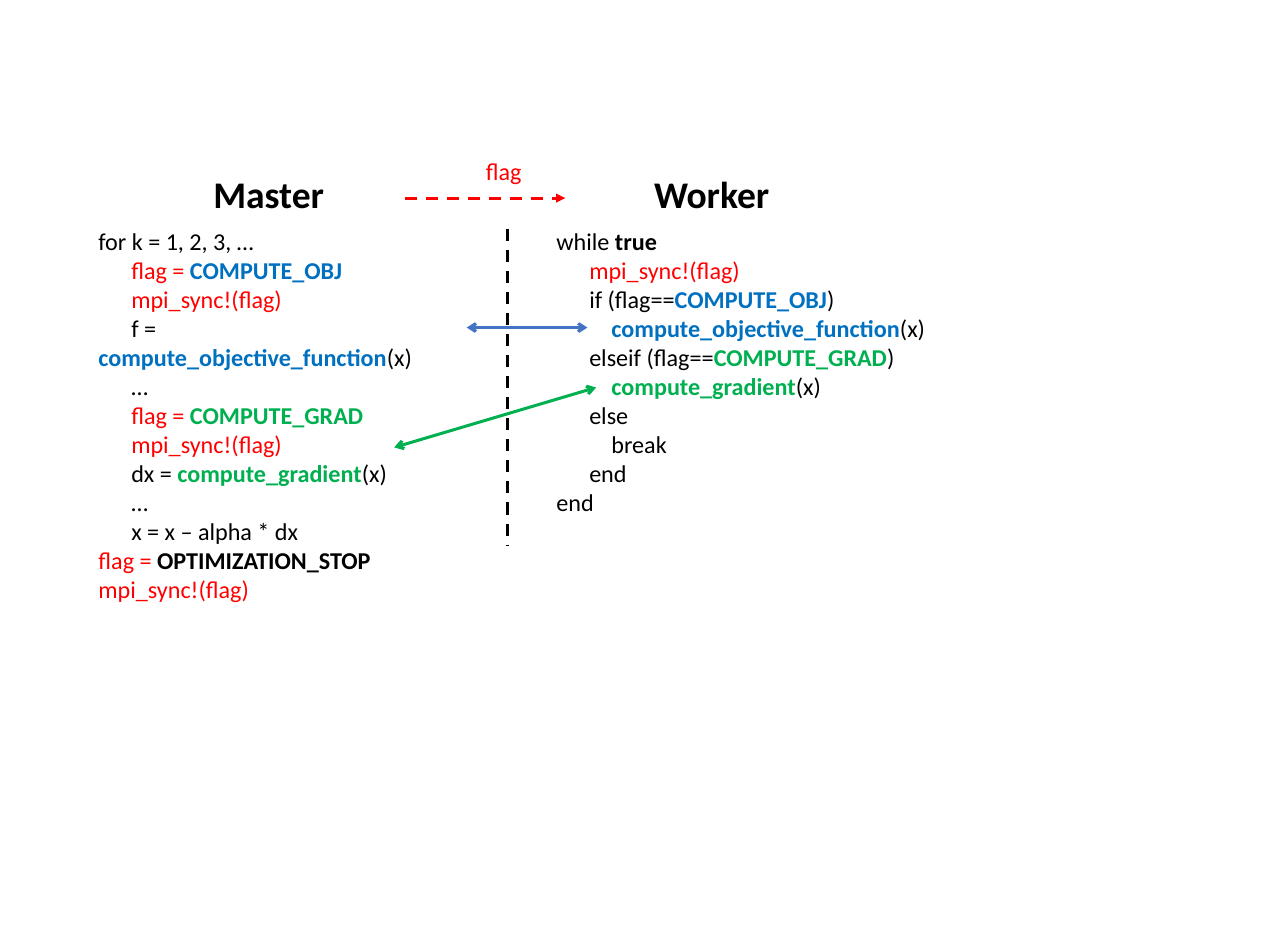
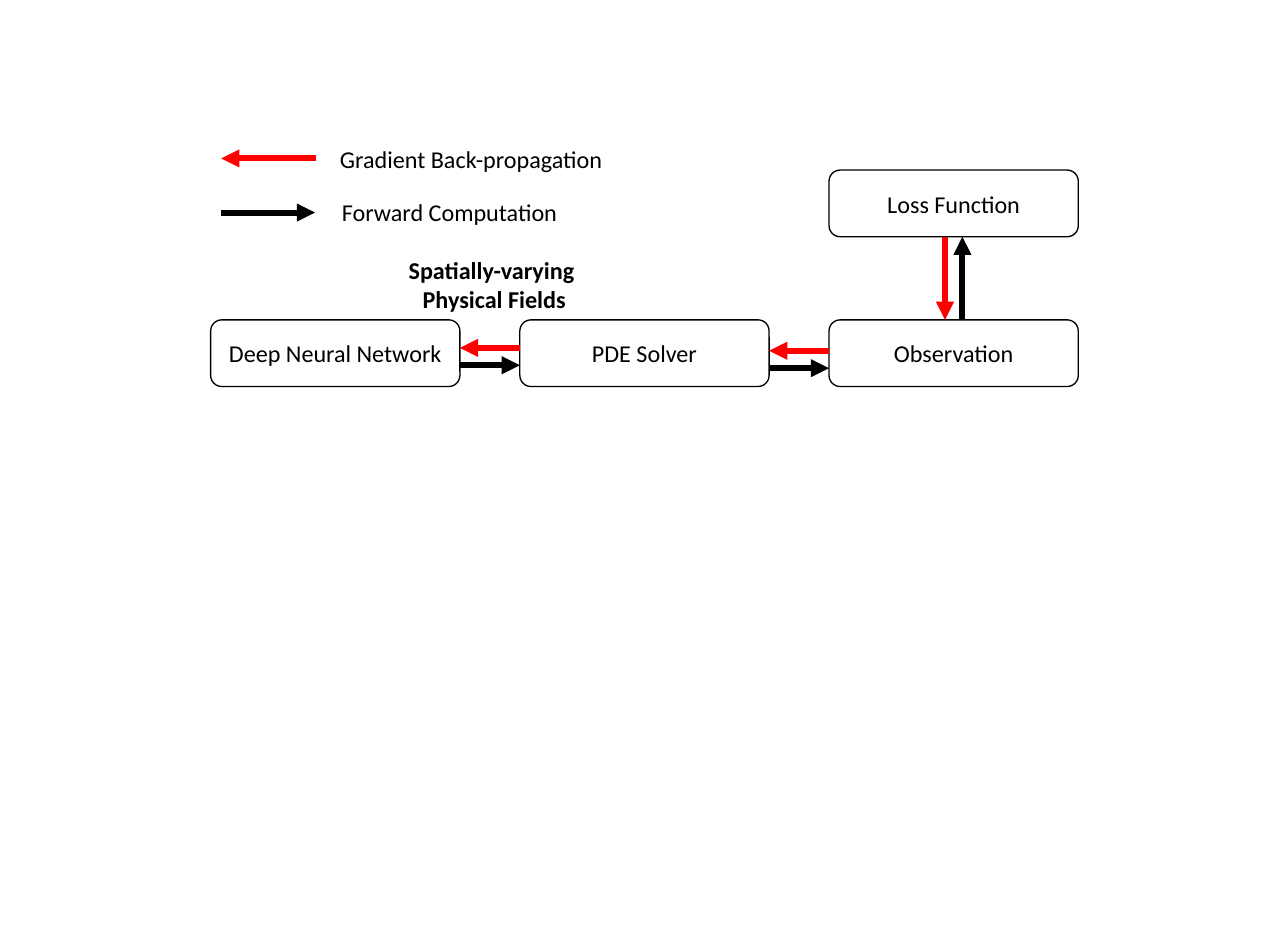
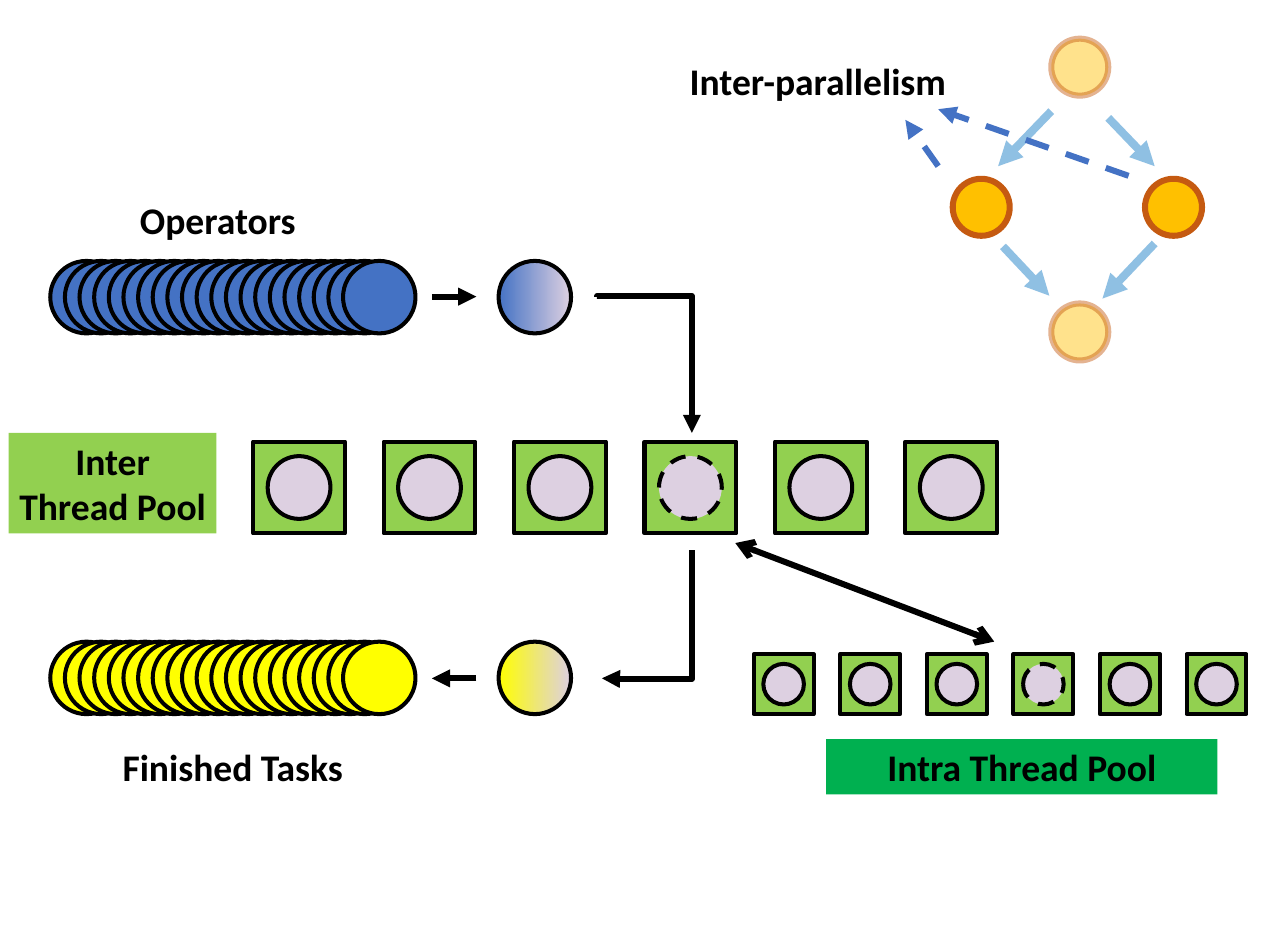
from lxml import etree
from pptx import Presentation
from pptx.dml.color import RGBColor
from pptx.enum import dml, shapes, text
from pptx.oxml.ns import qn
from pptx.util import Inches, Pt

FONT = "Calibri"
BLACK, WHITE, RED = "000000", "FFFFFF", "FF0000"
BLUE, YELLOW, LILAC = "4472C4", "FFFF00", "DDD0E1"
LIME, GREEN, SKY = "92D050", "00B050", "0070C0"
GOLD, RUST = "FFC000", "C55A11"

# Run styles: colour, bold
PLAIN, STRONG, SYNC = (BLACK, False), (BLACK, True), (RED, False)
OBJECTIVE, GRADIENT = (SKY, True), (GREEN, True)
LEVELS = (0, 0.34, 0.57)

SYNC_CALL = ("mpi_sync!(flag)", SYNC)
SET_FLAG = ("flag = ", SYNC)
OBJECTIVE_CALL = [("compute_objective_function", OBJECTIVE), ("(x)", PLAIN)]
GRADIENT_CALL = [("compute_gradient", GRADIENT), ("(x)", PLAIN)]

# Each code line: indent level, runs
MASTER_CODE = [
    (0, [("for k = 1, 2, 3, …", PLAIN)]),
    (1, [SET_FLAG, ("COMPUTE_OBJ", OBJECTIVE)]),
    (1, [SYNC_CALL]),
    (1, [("f = ", PLAIN)] + OBJECTIVE_CALL),
    (1, [("…", PLAIN)]),
    (1, [SET_FLAG, ("COMPUTE_GRAD", GRADIENT)]),
    (1, [SYNC_CALL]),
    (1, [("dx = ", PLAIN)] + GRADIENT_CALL),
    (1, [("…", PLAIN)]),
    (1, [("x = x – alpha * dx", PLAIN)]),
    (0, [SET_FLAG, ("OPTIMIZATION_STOP", STRONG)]),
    (0, [SYNC_CALL]),
]
WORKER_CODE = [
    (0, [("while ", PLAIN), ("true", STRONG)]),
    (1, [SYNC_CALL]),
    (1, [("if (flag==", PLAIN), ("COMPUTE_OBJ", OBJECTIVE), (")", PLAIN)]),
    (2, OBJECTIVE_CALL),
    (1, [("elseif (flag==", PLAIN), ("COMPUTE_GRAD", GRADIENT), (")", PLAIN)]),
    (2, GRADIENT_CALL),
    (1, [("else", PLAIN)]),
    (2, [("break", PLAIN)]),
    (1, [("end", PLAIN)]),
    (0, [("end", PLAIN)]),
]


def rgb(colour):
    return RGBColor.from_string(colour)


def inches(*lengths):
    return [Inches(length) for length in lengths]


def set_opacity(item, percent):
    """Make every solid colour of a shape or connector translucent."""
    for colour in item._element.spPr.iter(qn("a:srgbClr")):
        etree.SubElement(colour, qn("a:alpha")).set("val", str(percent * 1000))


def style_line(line, colour, width, dashed=False):
    line.color.rgb = rgb(colour)
    line.width = Pt(width)
    if dashed:
        line.dash_style = dml.MSO_LINE.DASH


def write(frame, lines, size, colour=BLACK, bold=False, centred=False):
    """Fill a text frame with one paragraph per line in a single style."""
    for i, line in enumerate(lines):
        paragraph = frame.paragraphs[0] if i == 0 else frame.add_paragraph()
        paragraph.text = line
        paragraph.alignment = text.PP_ALIGN.CENTER if centred else text.PP_ALIGN.LEFT
        font = paragraph.font
        font.name, font.size, font.bold = FONT, Pt(size), bold
        font.color.rgb = rgb(colour)


def add_label(slide, box, lines, size, wrap=False, **style):
    frame = slide.shapes.add_textbox(*inches(*box)).text_frame
    frame.word_wrap = wrap
    write(frame, lines, size, **style)


def add_code(slide, box, code, wrap):
    frame = slide.shapes.add_textbox(*inches(*box)).text_frame
    frame.word_wrap = wrap
    for i, (level, runs) in enumerate(code):
        paragraph = frame.paragraphs[0] if i == 0 else frame.add_paragraph()
        paragraph.font.name, paragraph.font.size = FONT, Pt(18)
        # First-line indent only: wrapped text returns to the margin
        paragraph._p.get_or_add_pPr().set("indent", str(Inches(LEVELS[level])))
        for words, (colour, bold) in runs:
            run = paragraph.add_run()
            run.text = words
            run.font.bold = bold
            run.font.color.rgb = rgb(colour)


def add_figure(slide, kind, box, fill, line=BLACK, width=3, dashed=False):
    """Add a preset shape; a pair of fill colours makes a gradient."""
    figure = slide.shapes.add_shape(kind, *inches(*box))
    figure.shadow.inherit = False
    if isinstance(fill, tuple):
        figure.fill.gradient()
        figure.fill.gradient_angle = 0
        for stop, colour in zip(figure.fill.gradient_stops, fill):
            stop.color.rgb = rgb(colour)
    else:
        figure.fill.solid()
        figure.fill.fore_color.rgb = rgb(fill)
    if line:
        style_line(figure.line, line, width, dashed)
    else:
        figure.line.fill.background()
    return figure


def add_circle(slide, left, top, size, fill, **style):
    return add_figure(slide, shapes.MSO_SHAPE.OVAL, (left, top, size, size), fill, **style)


def finish_connector(connector, colour, width, dashed, head, tail):
    style_line(connector.line, colour, width, dashed)
    etree.SubElement(connector._element.spPr, qn("a:effectLst"))
    line = connector.line._get_or_add_ln()
    for end, arrow in (("a:headEnd", head), ("a:tailEnd", tail)):
        if arrow:
            etree.SubElement(line, qn(end)).set("type", arrow)


def add_line(slide, start, end, colour=BLACK, width=4.5, dashed=False,
             head=None, tail="triangle"):
    connector = slide.shapes.add_connector(
        shapes.MSO_CONNECTOR.STRAIGHT, *inches(*start, *end))
    finish_connector(connector, colour, width, dashed, head, tail)
    return connector


def add_elbow(slide, start, end, degrees, flips, head=None, tail=None):
    """Join two points by a horizontal leg from start, then a vertical leg."""
    (x1, y1), (x2, y2) = start, end
    across, along = abs(x2 - x1) / 2, abs(y2 - y1) / 2
    x, y = (x1 + x2) / 2, (y1 + y2) / 2
    connector = slide.shapes.add_connector(
        shapes.MSO_CONNECTOR.ELBOW,
        *inches(x - along, y - across, x + along, y + across))
    properties = connector._element.spPr
    frame = properties.find(qn("a:xfrm"))
    frame.set("rot", str(degrees * 60000))
    for flip in flips:
        frame.set(flip, "1")
    bend = etree.SubElement(properties.find(qn("a:prstGeom")).find(qn("a:avLst")), qn("a:gd"))
    bend.set("name", "adj1")
    bend.set("fmla", "val -500")
    finish_connector(connector, BLACK, 4.5, False, head, tail)


def add_thread_pool(slide, first, last, top, size, circle, count=6, busy=3):
    """A row of square threads, of which the busy one has a dashed task."""
    margin = (size - circle) / 2
    for i in range(count):
        left = first + i * (last - first) / (count - 1)
        add_figure(slide, shapes.MSO_SHAPE.RECTANGLE, (left, top, size, size), LIME)
        add_circle(slide, left + margin, top + margin, circle, LILAC, dashed=i == busy)


def add_queue(slide, top, fill, count=21):
    first, last = 0.52, 3.55
    for i in range(count):
        add_circle(slide, first + i * (last - first) / (count - 1), top, 0.75, fill)


def add_pool_name(slide, box, lines, fill):
    name = add_figure(slide, shapes.MSO_SHAPE.RECTANGLE, box, fill, line=None)
    name.text_frame.word_wrap = False
    name.text_frame.vertical_anchor = text.MSO_ANCHOR.TOP
    write(name.text_frame, lines, 28, bold=True, centred=True)


def build_protocol(slide):
    add_code(slide, (0.92, 2.29, 3.99, 3.74), MASTER_CODE, wrap=True)
    add_code(slide, (5.66, 2.29, 4.05, 3.13), WORKER_CODE, wrap=False)
    add_label(slide, (2.11, 1.72, 1.36, 0.57), ["Master"], 28, bold=True)
    add_label(slide, (6.67, 1.72, 1.41, 0.57), ["Worker"], 28, bold=True)
    add_line(slide, (5.25, 2.37), (5.25, 5.64), width=2.25, dashed=True, tail=None)
    for start, end, colour in (((4.83, 3.39), (6.08, 3.39), BLUE),
                               ((4.08, 4.63), (6.17, 4.01), GREEN)):
        add_line(slide, start, end, colour, 2.25, head="arrow", tail="arrow")
    add_label(slide, (4.93, 1.57, 0.58, 0.4), ["flag"], 18, colour=RED)
    add_line(slide, (4.19, 2.05), (5.85, 2.05), RED, 2.25, dashed=True)


def build_pipeline(slide):
    width, height, row = 2.58, 0.69, 3.31
    columns = [2.18 + 3.2 * i for i in range(3)]
    stages = [("Deep Neural Network", columns[0], row), ("PDE Solver", columns[1], row),
              ("Observation", columns[2], row), ("Loss Function", columns[2], 1.76)]
    for name, left, top in stages:
        stage = add_figure(slide, shapes.MSO_SHAPE.ROUNDED_RECTANGLE,
                           (left, top, width, height), WHITE, width=1)
        stage.text_frame.word_wrap = True
        stage.text_frame.vertical_anchor = text.MSO_ANCHOR.MIDDLE
        write(stage.text_frame, [name], 18, centred=True)
    for left, right, back in ((columns[0] + width, columns[1], 3.6),
                              (columns[1] + width, columns[2], 3.63)):
        add_line(slide, (left, back + 0.18), (right, back + 0.18))
        add_line(slide, (right, back), (left, back), RED)
    add_line(slide, (9.96, row), (9.96, 2.45))
    add_line(slide, (9.78, 2.45), (9.78, row), RED)
    add_label(slide, (4.09, 2.59, 2.05, 0.71), ["Spatially-varying ", "Physical Fields"], 18,
              wrap=True, bold=True, centred=True)
    add_line(slide, (2.29, 2.2), (3.26, 2.2))
    add_line(slide, (3.27, 1.64), (2.29, 1.64), RED)
    add_label(slide, (3.42, 1.45, 2.96, 0.4), ["Gradient Back-propagation"], 18)
    add_label(slide, (3.44, 1.99, 2.45, 0.4), ["Forward Computation"], 18)


def build_task_graph(slide):
    for left, top, faded in ((10.88, 0.4, True), (11.85, 1.85, False),
                             (9.86, 1.85, False), (10.88, 3.14, True)):
        node = add_circle(slide, left, top, 0.59, GOLD, line=RUST, width=4.5)
        if faded:
            set_opacity(node, 45)
    for start, end in (((11.47, 1.22), (11.95, 1.72)), ((10.38, 2.55), (10.86, 3.06)),
                       ((10.88, 1.15), (10.33, 1.72)), ((11.95, 2.52), (11.41, 3.09))):
        set_opacity(add_line(slide, start, end, SKY, 6), 43)
    add_label(slide, (7.04, 0.55, 2.9, 0.57), ["Inter-parallelism"], 28, bold=True)
    for start, end in (((9.71, 1.72), (9.37, 1.24)), ((11.68, 1.82), (9.71, 1.13))):
        add_line(slide, start, end, BLUE, dashed=True)


def build_thread_pools(slide):
    add_thread_pool(slide, 2.62, 9.37, 4.57, 0.95, 0.65)
    for top, colour in ((2.7, BLUE), (6.64, YELLOW)):
        add_queue(slide, top, colour)
        add_circle(slide, 5.16, top, 0.75, (colour, LILAC))
    add_thread_pool(slide, 7.8, 12.28, 6.77, 0.62, 0.42)
    add_pool_name(slide, (0.09, 4.48, 2.15, 1.04), ["Inter", "Thread Pool"], LIME)
    add_pool_name(slide, (8.55, 7.65, 4.05, 0.57), ["Intra Thread Pool"], GREEN)
    add_line(slide, (7.61, 5.62), (10.29, 6.64), head="arrow", tail="arrow")
    add_line(slide, (4.47, 3.07), (4.93, 3.07))
    add_elbow(slide, (6.18, 3.07), (7.16, 4.48), 270, ["flipH"], tail="triangle")
    add_elbow(slide, (6.23, 7.02), (7.16, 5.69), 90, ["flipH", "flipV"], head="triangle")
    add_line(slide, (4.93, 7.02), (4.47, 7.02))
    add_label(slide, (1.35, 1.99, 1.83, 0.57), ["Operators"], 28, bold=True)
    add_label(slide, (1.17, 7.65, 2.51, 0.57), ["Finished Tasks"], 28, bold=True)
    build_task_graph(slide)


def main():
    deck = Presentation()
    deck.slide_width, deck.slide_height = inches(13.33, 9.8)
    blank = deck.slide_layouts[6]
    for build in (build_protocol, build_pipeline, build_thread_pools):
        build(deck.slides.add_slide(blank))
    deck.save("out.pptx")


if __name__ == "__main__":
    main()
